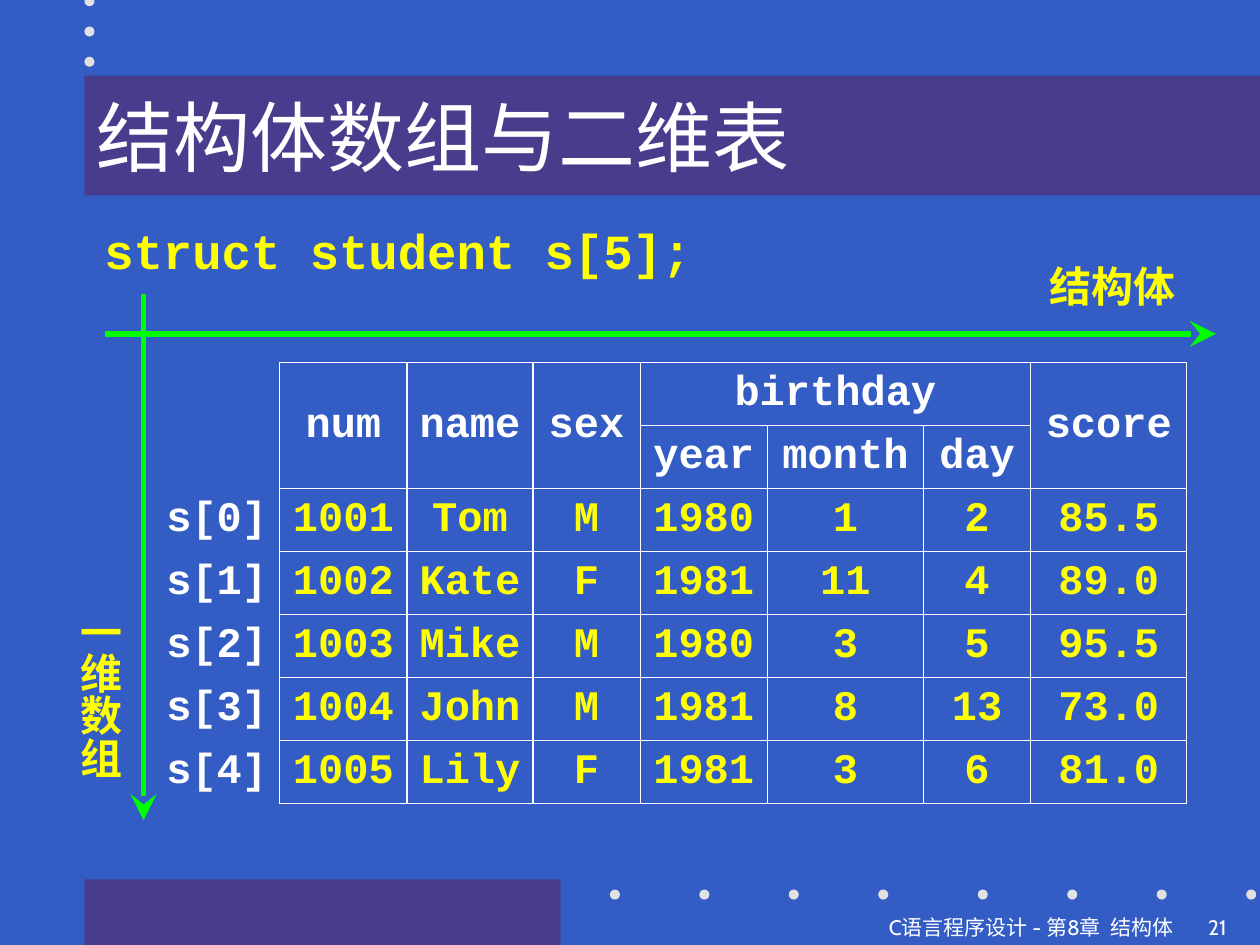
from lxml import etree
from pptx import Presentation
from pptx.dml.color import RGBColor
from pptx.enum.shapes import MSO_CONNECTOR, MSO_SHAPE
from pptx.enum.text import MSO_ANCHOR, MSO_AUTO_SIZE, PP_ALIGN
from pptx.oxml.ns import qn
from pptx.util import Inches, Pt

RECT, OVAL = MSO_SHAPE.RECTANGLE, MSO_SHAPE.OVAL
STRAIGHT = MSO_CONNECTOR.STRAIGHT
LEFT, CENTER, RIGHT = PP_ALIGN.LEFT, PP_ALIGN.CENTER, PP_ALIGN.RIGHT
MIDDLE = MSO_ANCHOR.MIDDLE
FIT_SHAPE = MSO_AUTO_SIZE.SHAPE_TO_FIT_TEXT

BLUE, PURPLE, GREY = "335CC5", "473D8C", "E1E1E1"
WHITE, YELLOW, GREEN, BLACK = "FFFFFF", "FFFF00", "00FF00", "000000"
CODE, HEADING, FOOTER = "Courier New", "Times New Roman", "Cabin"

COLUMN_WIDTHS = [1, 1.01, 1, 0.85, 1.01, 1.24, 0.85, 1.24]
ROW_HEIGHT = 0.5
HEADER_ROWS = [
    ["", "num", "name", "sex", "birthday", "", "", "score"],
    ["", "", "", "", "year", "month", "day", ""],
]
STUDENTS = [
    ["1001", "Tom", "M", "1980", "1", "2", "85.5"],
    ["1002", "Kate", "F", "1981", "11", "4", "89.0"],
    ["1003", "Mike", "M", "1980", "3", "5", "95.5"],
    ["1004", "John", "M", "1981", "8", "13", "73.0"],
    ["1005", "Lily", "F", "1981", "3", "6", "81.0"],
]


def color(value):
    return RGBColor.from_string(value)


def child(parent, tag, **attributes):
    return etree.SubElement(parent, qn(tag), attributes)


def write(frame, text, size=24, font=CODE, fill=YELLOW, bold=False,
          align=LEFT, shadow=False):
    paragraph = frame.paragraphs[0]
    paragraph.alignment = align
    run = paragraph.add_run()
    run.text = text
    run.font.size, run.font.name, run.font.bold = Pt(size), font, bold
    run.font.color.rgb = color(fill)
    if shadow:
        effects = etree.Element(qn("a:effectLst"))
        outer = child(effects, "a:outerShdw", dist="25400", dir="2700000")
        child(outer, "a:srgbClr", val=BLACK)
        run.font._element.find(qn("a:solidFill")).addnext(effects)


def add_block(slide, kind, box, fill):
    block = slide.shapes.add_shape(kind, *map(Inches, box))
    block.shadow.inherit = False
    block.fill.solid()
    block.fill.fore_color.rgb = color(fill)
    block.line.fill.background()
    return block


def add_label(slide, box, text, wrap=False, vertical=False, **style):
    frame = slide.shapes.add_textbox(*map(Inches, box)).text_frame
    frame.word_wrap = wrap
    if not wrap:
        frame.auto_size = FIT_SHAPE
    if vertical:
        frame._txBody.bodyPr.set("vert", "eaVert")
        frame.margin_left = frame.margin_right = Inches(0.05)
        frame.margin_top = frame.margin_bottom = Inches(0.1)
    write(frame, text, **style)


def add_axis(slide, start, end):
    axis = slide.shapes.add_connector(STRAIGHT, *map(Inches, start + end))
    axis.line.color.rgb = color(GREEN)
    axis.line.width = Pt(3)
    child(axis.line._get_or_add_ln(), "a:tailEnd", type="stealth", w="lg", len="lg")
    child(axis._element.spPr, "a:effectLst")


def add_decoration(slide):
    add_block(slide, RECT, (0.67, 6.98, 3.78, 0.52), PURPLE)
    column = [(0.67, -0.03 + 0.24 * i) for i in range(3)]
    row = [(x + 0.71 * i, 7.06) for x in (4.84, 7.76) for i in range(4)]
    for x, y in column + row:
        add_block(slide, OVAL, (x, y, 0.08, 0.08), GREY)


def add_title(slide, box):
    frame = add_block(slide, RECT, box, PURPLE).text_frame
    frame.word_wrap = True
    frame.vertical_anchor = MIDDLE
    write(frame, "结构体数组与二维表", size=44, font=HEADING, fill=WHITE)


def set_borders(cell, sides):
    properties = cell._tc.get_or_add_tcPr()
    for side in "LRTB":
        line = child(properties, f"a:ln{side}", w=str(Pt(0.75)))
        if side in sides:
            child(child(line, "a:solidFill"), "a:srgbClr", val=WHITE)
        else:
            child(line, "a:noFill")


def add_student_table(slide, left, top):
    rows = HEADER_ROWS + [[f"s[{i}]"] + student for i, student in enumerate(STUDENTS)]
    table = slide.shapes.add_table(
        len(rows), len(COLUMN_WIDTHS), Inches(left), Inches(top),
        Inches(sum(COLUMN_WIDTHS)), Inches(ROW_HEIGHT * len(rows))).table
    table.first_row = table.horz_banding = False
    for column, width in zip(table.columns, COLUMN_WIDTHS):
        column.width = Inches(width)
    for r, values in enumerate(rows):
        table.rows[r].height = Inches(ROW_HEIGHT)
        for c, text in enumerate(values):
            cell = table.cell(r, c)
            # Row labels stand outside the ruled grid
            set_borders(cell, "LRTB" if c else "R")
            cell.fill.background()
            cell.vertical_anchor = MIDDLE
            if text:
                is_data = c > 0 and r >= len(HEADER_ROWS)
                write(cell.text_frame, text, fill=YELLOW if is_data else WHITE,
                      bold=True, align=CENTER)
    # Headings over two rows, and birthday over its three parts
    for c in (0, 1, 2, 3, 7):
        table.cell(0, c).merge(table.cell(1, c))
    table.cell(0, 4).merge(table.cell(0, 6))


def add_axes(slide):
    add_axis(slide, (1.14, 2.33), (1.14, 6.51))
    add_axis(slide, (0.83, 2.65), (9.65, 2.65))
    add_label(slide, (8.23, 2.02, 1.2, 0.5), "结构体", bold=True, shadow=True)
    add_label(slide, (0.44, 4.75, 0.6, 1.44), "一维数组", vertical=True,
              bold=True, shadow=True)


def add_footer(slide, top, height):
    style = dict(wrap=True, size=12, font=FOOTER, fill=WHITE)
    add_label(slide, (0, top, 9.41, height), "C语言程序设计 - 第8章  结构体",
              align=RIGHT, **style)
    add_label(slide, (9.49, top, 0.51, height), "21", **style)


def main():
    deck = Presentation()
    deck.slide_width, deck.slide_height = Inches(10), Inches(7.5)
    slide = deck.slides.add_slide(deck.slide_layouts[6])
    slide.background.fill.solid()
    slide.background.fill.fore_color.rgb = color(BLUE)

    add_decoration(slide)
    add_title(slide, (0.67, 0.6, 9.33, 0.95))
    add_student_table(slide, 1.22, 2.88)
    # Declaration of the array
    add_label(slide, (0.73, 1.7, 4.86, 0.57), "struct student s[5];",
              size=28, bold=True, shadow=True)
    add_axes(slide)
    add_footer(slide, 7.21, 0.28)
    deck.save("out.pptx")


if __name__ == "__main__":
    main()
